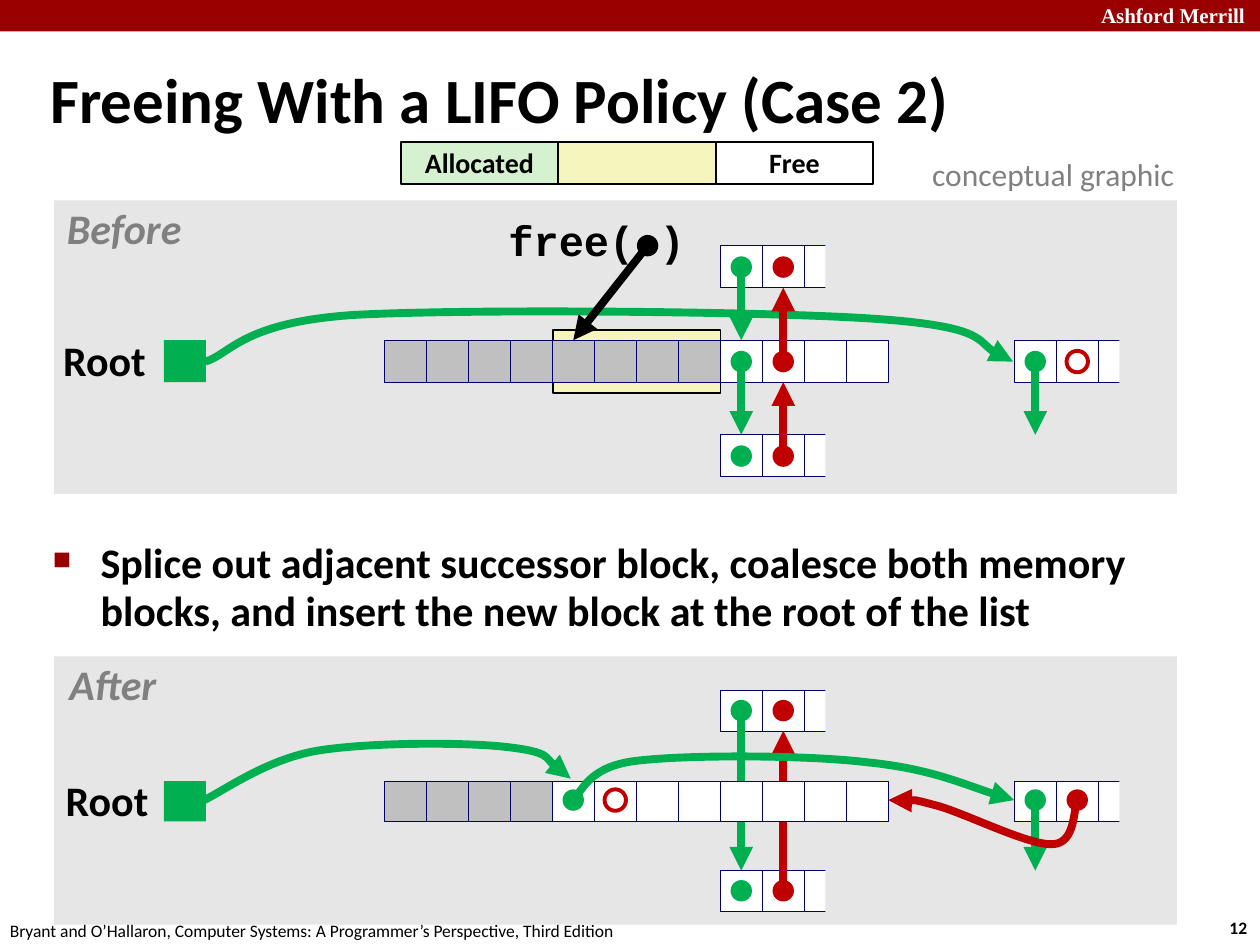
"""Build the slide on freeing a block with a LIFO policy, case 2."""
from dataclasses import dataclass

import pptx
import pptx.dml.color
import pptx.enum.shapes
import pptx.enum.text
import pptx.oxml
import pptx.oxml.ns
import pptx.util

Inches = pptx.util.Inches
Pt = pptx.util.Pt
qn = pptx.oxml.ns.qn
Kind = pptx.enum.shapes.MSO_SHAPE
Align = pptx.enum.text.PP_ALIGN
Anchor = pptx.enum.text.MSO_ANCHOR


@dataclass(frozen=True)
class Theme:
    sans: str = "Calibri"
    serif: str = "Times New Roman"
    mono: str = "Courier New"
    black: str = "000000"
    white: str = "FFFFFF"
    brand: str = "990000"
    panel: str = "E6E6E6"
    grey: str = "808080"
    used: str = "C0C0C0"
    edge: str = "000066"
    green: str = "00B050"
    red: str = "C00000"
    cream: str = "F6F5BD"
    mint: str = "D5F1CF"
    title: float = 36
    large: float = 24
    note: float = 18
    key: float = 16
    head: float = 12
    foot: float = 10
    thick: float = 4.5
    ring: float = 2.25
    thin: float = 0.25


T = Theme()
STEP = 1 / 3
LEFT = 3.05
DOT = 0.17


def rgb(code):
    return pptx.dml.color.RGBColor.from_string(code)


def mid(col):
    """Return the x of the centre of a column of cells."""
    return LEFT + (col + 0.5) * STEP


def stroke(shape, color, width):
    shape.line.color.rgb = rgb(color)
    shape.line.width = Pt(width)


def tip(shape):
    """Put a triangle at the end of a line."""
    line = shape._element.spPr.find(qn("a:ln"))
    pptx.oxml.ns.nsdecls("a")
    line.append(line.makeelement(qn("a:tailEnd"), {"type": "triangle"}))


def draw(slide, box, fill=None, line=None, width=T.thin, kind=Kind.RECTANGLE):
    shape = slide.shapes.add_shape(kind, *map(Inches, box))
    shape.shadow.inherit = False
    if fill:
        shape.fill.solid()
        shape.fill.fore_color.rgb = rgb(fill)
    else:
        shape.fill.background()
    if line:
        stroke(shape, line, width)
    else:
        shape.line.fill.background()
    return shape


def write(frame, text, size, color=T.black, font=T.sans, bold=True,
          slant=False, align=Align.LEFT, space=1.0):
    """Fill a text frame with one paragraph of one run."""
    para = frame.paragraphs[0]
    para.alignment = align
    para.line_spacing = space
    run = para.add_run()
    run.text = text
    run.font.name = font
    run.font.size = Pt(size)
    run.font.bold = bold
    run.font.italic = slant
    run.font.color.rgb = rgb(color)
    return para


def label(slide, box, text, size, inset=None, wrap=False, **style):
    frame = slide.shapes.add_textbox(*map(Inches, box)).text_frame
    frame.word_wrap = wrap
    if inset:
        frame.margin_left = frame.margin_right = Inches(inset)
        frame.margin_top = frame.margin_bottom = Inches(inset)
    return write(frame, text, size, **style)


def tag(slide, box, text, **style):
    """Add a large centred label with tight margins."""
    label(slide, box, text, T.large, inset=0.05, align=Align.CENTER,
          space=0.9, **style)


def hang(para, depth):
    """Give a paragraph a hanging indent."""
    prop = para._p.get_or_add_pPr()
    prop.set("marL", str(Inches(depth)))
    prop.set("indent", str(-Inches(depth)))
    return prop


def row(slide, col, top, high, fills):
    return [draw(slide, (LEFT + (col + i) * STEP, top, STEP, high), fill, T.edge)
            for i, fill in enumerate(fills)]


def stub(slide, col, top, high):
    """Draw three cells, the last one cut off by a panel patch."""
    cells = row(slide, col, top, high, [T.white] * 3)
    draw(slide, (LEFT + (col + 2.5) * STEP, top - high / 4, STEP, high * 1.5), T.panel)
    return cells


def dot(slide, x, y, color):
    draw(slide, (x - DOT / 2, y - DOT / 2, DOT, DOT), color, kind=Kind.OVAL)


def ring(slide, x, y):
    draw(slide, (x - DOT / 2, y - DOT / 2, DOT, DOT), None, T.red, T.ring, Kind.OVAL)


def arrow(slide, start, end, color, goal=None, site=0):
    """Draw a straight arrow, joined to the goal cell if there is one."""
    line = slide.shapes.add_connector(
        pptx.enum.shapes.MSO_CONNECTOR.STRAIGHT, *map(Inches, start + end))
    if goal is not None:
        line.end_connect(goal, site)
    stroke(line, color, T.thick)
    tip(line)
    prop = line._element.spPr
    prop.append(prop.makeelement(qn("a:effectLst"), {}))


def curve(slide, points, color):
    """Draw an arrow along cubic curves: a start, then three points for each."""
    spots = [(Inches(x), Inches(y)) for x, y in points]
    form = slide.shapes.build_freeform(*spots[0])
    form.add_line_segments(spots[1:], close=False)
    shape = form.convert_to_shape()
    steps = list(shape._element.iter(qn("a:lnTo")))
    for i in range(0, len(steps), 3):
        bend = steps[i].makeelement(qn("a:cubicBezTo"), {})
        steps[i].addprevious(bend)
        for step in steps[i:i + 3]:
            bend.append(step[0])
            step.getparent().remove(step)
    shape.shadow.inherit = False
    shape.fill.background()
    stroke(shape, color, T.thick)
    tip(shape)


def frame(slide):
    """Draw the top bar, the footer, the title and the bullet."""
    draw(slide, (0, 0, 10, 0.25), T.brand)
    label(slide, (8.64, -0.03, 1.43, 0.3), "Ashford Merrill", T.head,
          wrap=True, color=T.white, font=T.serif)
    label(slide, (9.66, 7.23, 0.37, 0.27), "12", T.foot)
    label(slide, (-0.02, 7.25, 5.08, 0.27), "Bryant and O’Hallaron, Computer Systems: "
          "A Programmer’s Perspective, Third Edition", T.foot, bold=False)
    title = slide.shapes.title
    title.left, title.top, title.width, title.height = map(Inches, (0.3, 0.39, 9.53, 0.86))
    title.text_frame.vertical_anchor = Anchor.MIDDLE
    hang(write(title.text_frame, "Freeing With a LIFO Policy (Case 2)", T.title, space=0.87), 0.13)
    para = label(slide, (0.32, 4.24, 9.09, 0.86), "Splice out adjacent successor block, "
                 "coalesce both memory blocks, and insert the new block at the root of the list",
                 T.large, wrap=True, space=0.95)
    para.space_before = Pt(5)
    prop = hang(para, 0.38)
    color = prop.makeelement(qn("a:buClr"), {})
    color.append(color.makeelement(qn("a:srgbClr"), {"val": T.brand}))
    prop.append(color)
    prop.append(prop.makeelement(qn("a:buSzPct"), {"val": "60000"}))
    prop.append(prop.makeelement(qn("a:buChar"), {"char": "■"}))


def legend(slide):
    label(slide, (7.3, 1.18, 2.17, 0.4), "conceptual graphic", T.note, color=T.grey, bold=False)
    for i, (fill, text) in enumerate([(T.mint, "Allocated"), (T.cream, ""), (T.white, "Free")]):
        box = draw(slide, (3.18 + 1.25 * i, 1.13, 1.25, 0.33), fill, T.black, 1)
        if text:
            box.text_frame.word_wrap = False
            box.text_frame.vertical_anchor = Anchor.MIDDLE
            write(box.text_frame, text, T.key, align=Align.CENTER, space=0.98)


def before(slide):
    draw(slide, (0.43, 1.59, 8.91, 2.33), T.panel)
    draw(slide, (4.39, 2.62, 1.33, 0.5), T.cream, T.black, 0.75)
    curve(slide, [(1.63, 2.87), (1.83, 2.81), (1.92, 2.56), (2.8, 2.5), (3.69, 2.45),
                  (6.06, 2.47), (6.94, 2.53), (7.81, 2.59), (7.81, 2.8), (8.04, 2.87)], T.green)
    cells = row(slide, 0, 2.7, STEP, [T.used] * 8 + [T.white] * 4)
    above = stub(slide, 8, 1.95, STEP)
    below = stub(slide, 8, 3.45, STEP)
    stub(slide, 15, 2.7, STEP)
    draw(slide, (1.3, 2.7, STEP, STEP), T.green)
    for y in (2.12, 2.87, 3.62):
        dot(slide, mid(8), y, T.green)
        dot(slide, mid(9), y, T.red)
    for y, goal in ((2.12, cells[8]), (2.87, below[0])):
        arrow(slide, (mid(8), y), (mid(8), y + 0.58), T.green, goal)
    for y, goal in ((3.62, cells[9]), (2.87, above[1])):
        arrow(slide, (mid(9), y), (mid(9), y - 0.58), T.red, goal, 2)
    dot(slide, mid(15), 2.87, T.green)
    arrow(slide, (mid(15), 2.87), (mid(15), 3.45), T.green)
    ring(slide, mid(16), 2.87)
    tag(slide, (3.98, 1.7, 1.51, 0.47), "free( )", font=T.mono)
    dot(slide, 5.14, 1.95, T.black)
    arrow(slide, (5.14, 1.95), (mid(4), 2.7), T.black, cells[4])
    tag(slide, (0.45, 2.65, 0.76, 0.47), "Root")
    tag(slide, (0.47, 1.6, 1.03, 0.47), "Before", color=T.grey, slant=True)


def after(slide):
    high = 0.32
    draw(slide, (0.43, 5.21, 8.91, 2.13), T.panel)
    above = stub(slide, 8, 5.48, high)
    below = stub(slide, 8, 6.91, high)
    arrow(slide, (mid(9), 7.07), (mid(9), 5.8), T.red, above[1], 2)
    arrow(slide, (mid(8), 5.64), (mid(8), 6.91), T.green, below[0])
    row(slide, 0, 6.2, high, [T.used] * 4 + [T.white] * 8)
    stub(slide, 15, 6.2, high)
    draw(slide, (1.3, 6.2, STEP, high), T.green)
    for y in (5.64, 7.07):
        dot(slide, mid(8), y, T.green)
        dot(slide, mid(9), y, T.red)
    for col, color in ((4, T.green), (15, T.green), (16, T.red)):
        dot(slide, mid(col), 6.35, color)
    ring(slide, mid(5), 6.35)
    arrow(slide, (mid(15), 6.35), (mid(15), 6.91), T.green)
    curve(slide, [(4.54, 6.35), (4.62, 6.3), (4.65, 6.09), (5.04, 6.04), (5.43, 5.99),
                  (6.38, 5.99), (6.88, 6.05), (7.38, 6.1), (7.81, 6.29), (8.05, 6.35)], T.green)
    curve(slide, [(8.55, 6.35), (8.52, 6.41), (8.54, 6.7), (8.35, 6.7), (8.16, 6.71),
                  (7.63, 6.44), (7.42, 6.39), (7.2, 6.33), (7.13, 6.36), (7.05, 6.35)], T.red)
    curve(slide, [(1.62, 6.35), (1.77, 6.28), (2.11, 6.03), (2.51, 5.96), (2.92, 5.89),
                  (3.7, 5.89), (4.03, 5.93), (4.37, 5.97), (4.43, 6.13), (4.53, 6.18)], T.green)
    tag(slide, (0.47, 6.14, 0.76, 0.44), "Root")
    tag(slide, (0.49, 5.22, 0.81, 0.44), "After", color=T.grey, slant=True)


def main():
    deck = pptx.Presentation()
    deck.slide_width, deck.slide_height = Inches(10), Inches(7.5)
    slide = deck.slides.add_slide(deck.slide_layouts[5])
    before(slide)
    after(slide)
    frame(slide)
    legend(slide)
    deck.save("out.pptx")


if __name__ == "__main__":
    main()
